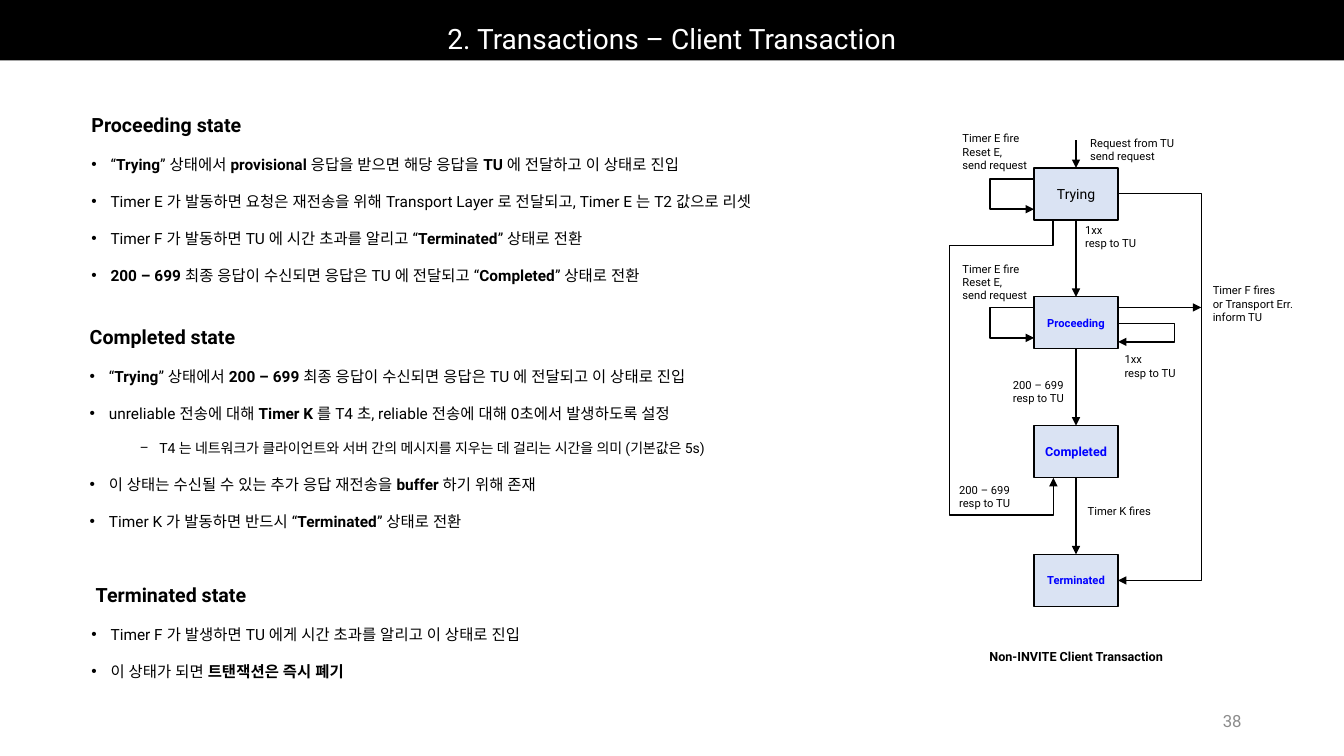
from lxml import etree
from pptx import Presentation
from pptx.dml.color import RGBColor
from pptx.enum.shapes import MSO_CONNECTOR, MSO_SHAPE
from pptx.enum.text import MSO_ANCHOR, MSO_AUTO_SIZE, PP_ALIGN
from pptx.oxml.ns import qn
from pptx.util import Inches, Pt

RECT = MSO_SHAPE.RECTANGLE
STRAIGHT, ELBOW = MSO_CONNECTOR.STRAIGHT, MSO_CONNECTOR.ELBOW
TOP, MIDDLE, BOTTOM = MSO_ANCHOR.TOP, MSO_ANCHOR.MIDDLE, MSO_ANCHOR.BOTTOM
LEFT, CENTER, RIGHT = PP_ALIGN.LEFT, PP_ALIGN.CENTER, PP_ALIGN.RIGHT
FIT, FIXED = MSO_AUTO_SIZE.SHAPE_TO_FIT_TEXT, MSO_AUTO_SIZE.NONE

FONT = "Roboto"
COLORS = {"black": "000000", "white": "FFFFFF", "gray": "8C8C8C",
          "blue": "0000FF", "box": "DAE3F3"}
BULLETS = {"•": (0, 0.19, 11), "−": (1, 0.69, 10)}

prs = Presentation()
prs.slide_width, prs.slide_height = Inches(13.333), Inches(7.5)
COL, ROW = prs.slide_width / 160, prs.slide_height / 90
s = prs.slides.add_slide(prs.slide_layouts[5])


def cells(x, y, w, h):
    return int(x * COL), int(y * ROW), int(w * COL), int(h * ROW)


def write(sp, text, size=8, color="black", align=LEFT, anchor=TOP,
          spacing=None, wrap=True, fit=FIXED):
    tf = sp.text_frame
    tf.word_wrap, tf.auto_size, tf.vertical_anchor = wrap, fit, anchor
    for i, line in enumerate(text.split("\n")):
        p = tf.add_paragraph() if i else tf.paragraphs[0]
        run_size = size
        if line[0] in BULLETS:
            p.level, indent, run_size = BULLETS[line[0]]
            pPr = p._p.get_or_add_pPr()
            pPr.set("marL", str(Inches(indent)))
            pPr.set("indent", str(-Inches(0.19)))
            etree.SubElement(pPr, qn("a:buFont")).set("typeface", "Arial")
            etree.SubElement(pPr, qn("a:buChar")).set("char", line[0])
            line = line[1:]
        p.alignment = align
        if spacing:
            p.line_spacing = spacing
        for k, part in enumerate(line.split("*")):
            if part:
                r = p.add_run()
                r.text = part
                r.font.name, r.font.size, r.font.bold = FONT, Pt(run_size), k % 2 == 1
                r.font.color.rgb = RGBColor.from_string(COLORS[color])
                ea = etree.SubElement(r._r.get_or_add_rPr(), qn("a:ea"))
                ea.set("typeface", FONT)


title = s.shapes.title
title.left, title.top, title.width, title.height = cells(0, 0, 160, 7.2)
title.fill.solid()
title.fill.fore_color.rgb = RGBColor.from_string(COLORS["black"])
write(title, "2. Transactions – Client Transaction", size=20, color="white",
      align=CENTER, anchor=BOTTOM, spacing=0.9)

BOX_X, BOX_Y, BOX_W, BOX_H, PITCH = 123.1, 20, 10, 6.2, 15.33
MID_X = BOX_X + BOX_W / 2
LOOP_Y = BOX_Y + 1.3
states = [("Trying", 10, "black"), ("*Proceeding*", 8, "blue"),
          ("*Completed*", 9, "blue"), ("*Terminated*", 8, "blue")]
tops = [BOX_Y + PITCH * i for i in range(len(states))]

arrows = [(STRAIGHT, (MID_X, 16.7, 0, BOX_Y - 16.7), 0, "", [], True),
          (STRAIGHT, (BOX_X, 36.6, 19.9, 0), 0, "", [], True),
          (ELBOW, (BOX_X, 38.5, BOX_W, 2.2), 0, "", [1.672], True),
          (ELBOW, (105.35, 36.85, 27.7, 12.4), 270, "flipH", [1.159], True),
          (ELBOW, (113, 23.1, 20, 6.1), 0, "flipH", [0.381], False),
          (ELBOW, (105, 41, 46.2, BOX_W), 270, "flipH", [0.003, 1.996], True)]
for top in tops[:-1]:
    arrows.append((STRAIGHT, (MID_X, top + BOX_H, 0, PITCH - BOX_H), 0, "", [], True))
for y in (LOOP_Y, LOOP_Y + PITCH):
    arrows.append((ELBOW, (BOX_X, y, BOX_W, 3.6), 180, "flipV", [1.523], True))

for kind, area, turn, flip, bends, headed in arrows:
    x, y, w, h = cells(*area)
    c = s.shapes.add_connector(kind, x, y, x + w, y + h)
    c.line.width = Pt(1)
    c.line.color.rgb = RGBColor.from_string(COLORS["black"])
    spPr = c._element.spPr
    if headed:
        etree.SubElement(c.line._get_or_add_ln(), qn("a:tailEnd")).set("type", "triangle")
    etree.SubElement(spPr, qn("a:effectLst"))
    if turn:
        spPr.xfrm.set("rot", str(turn * 60000))
    if flip:
        spPr.xfrm.set(flip, "1")
    if bends:
        geom = spPr.find(qn("a:prstGeom"))
        geom.set("prst", f"bentConnector{len(bends) + 2}")
        av = geom.find(qn("a:avLst"))
        if av is None:
            av = etree.SubElement(geom, qn("a:avLst"))
        for n, bend in enumerate(bends, 1):
            gd = etree.SubElement(av, qn("a:gd"))
            gd.set("name", f"adj{n}" if len(bends) > 1 else "adj1")
            gd.set("fmla", f"val {round(bend * 100000)}")

for top, (name, size, color) in zip(tops, states):
    sp = s.shapes.add_shape(RECT, *cells(BOX_X, top, BOX_W, BOX_H))
    sp.shadow.inherit = False
    sp.fill.solid()
    sp.fill.fore_color.rgb = RGBColor.from_string(COLORS["box"])
    sp.line.color.rgb = RGBColor.from_string(COLORS["black"])
    sp.line.width = Pt(1)
    write(sp, name, size=size, color=color, align=CENTER, anchor=MIDDLE, wrap=False)

RETRY = "Timer E fire\nReset E,\nsend request"
FINAL = "200 – 699\nresp to TU"
PROVISIONAL = "1xx\nresp to TU"
labels = [(128.6, 15.6, 12.6, 4.4, "Request from TU\nsend request", 8),
          (128, 26, 8.6, 4.4, PROVISIONAL, 8),
          (132.7, 41.4, 8.6, 4.4, PROVISIONAL, 8),
          (119.4, 44.4, 8.6, 4.4, FINAL, 8),
          (113, 56.9, 8.6, 4.4, FINAL, 8),
          (128.3, 59.5, 10.1, 2.9, "Timer K fires", 8),
          (143.2, 33.2, 12.2, 6, "Timer F fires\nor Transport Err.\ninform TU", 8),
          (113.4, 15.1, 10.2, 6, RETRY, 8),
          (113.4, 30.6, 10.2, 6, RETRY, 8),
          (116.6, 76.7, 23.4, 3, "*Non-INVITE Client Transaction*", 9)]
for x, y, w, h, text, size in labels:
    write(s.shapes.add_textbox(*cells(x, y, w, h)), text, size=size, wrap=False, fit=FIT)

sections = [
    ((9.7, 10.1, 83.5, 24), """*Proceeding state*
•“*Trying*” 상태에서 *provisional *응답을 받으면 해당 응답을 *TU *에 전달하고 이 상태로 진입
•Timer E 가 발동하면 요청은 재전송을 위해 Transport Layer 로 전달되고, Timer E 는 T2 값으로 리셋
•Timer F 가 발동하면 TU 에 시간 초과를 알리고 “*Terminated*” 상태로 전환
•*200 – 699 *최종 응답이 수신되면 응답은 TU 에 전달되고 “*Completed*” 상태로 전환"""),
    ((9.5, 35.3, 79.4, 28.1), """*Completed state*
•“*Trying*” 상태에서 *200 – 699 *최종 응답이 수신되면 응답은 TU 에 전달되고 이 상태로 진입
•unreliable 전송에 대해 *Timer K *를 T4 초, reliable 전송에 대해 0초에서 발생하도록 설정
−T4 는 네트워크가 클라이언트와 서버 간의 메시지를 지우는 데 걸리는 시간을 의미 (기본값은 5s)
•이 상태는 수신될 수 있는 추가 응답 재전송을 *buffer *하기 위해 존재
•Timer K 가 발동하면 반드시 “*Terminated*” 상태로 전환"""),
    ((9.7, 66, 56.2, 15.2), """* Terminated state*
•Timer F 가 발생하면 TU 에게 시간 초과를 알리고 이 상태로 진입
•이 상태가 되면 *트탠잭션은 즉시 폐기*""")]
for area, text in sections:
    write(s.shapes.add_textbox(*cells(*area)), text, size=14, spacing=2.0)

write(s.shapes.add_textbox(*cells(113, 83.4, 36, 4.8)), "38", size=12,
      color="gray", align=RIGHT, anchor=MIDDLE)

prs.save("out.pptx")
